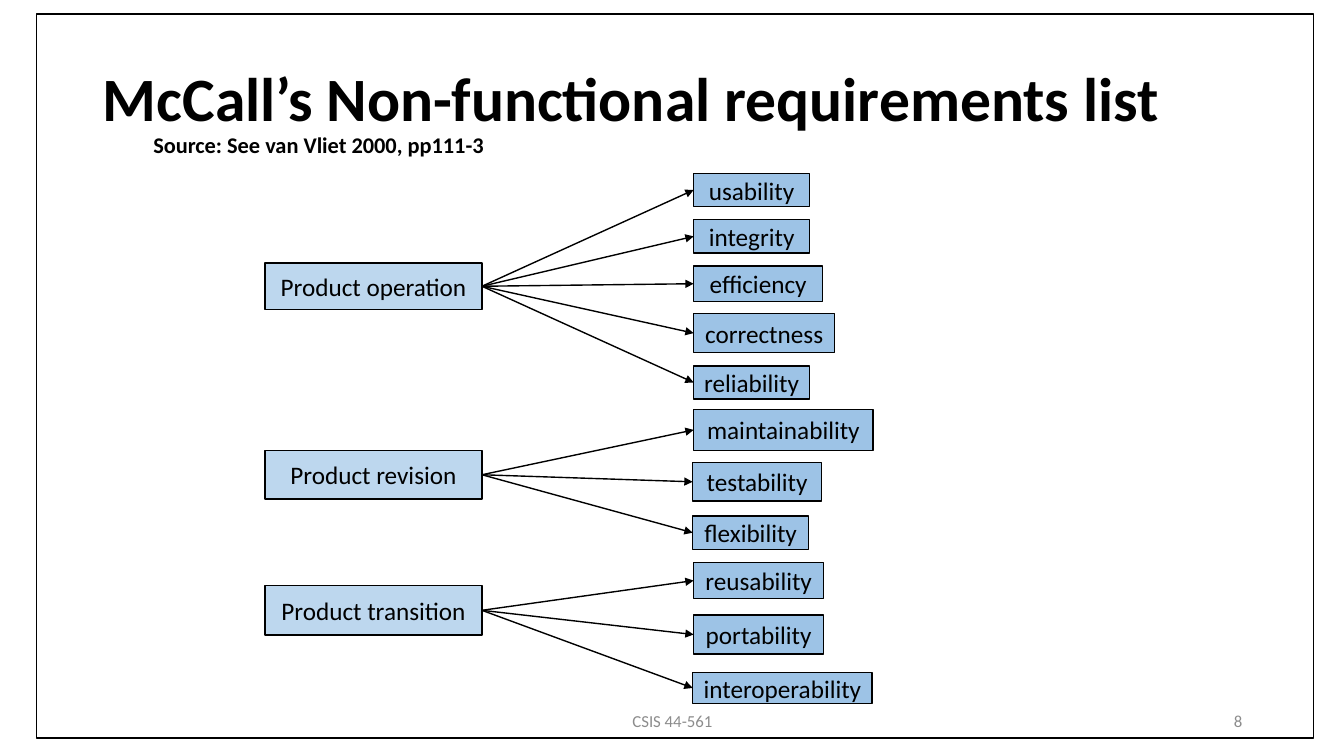
from dataclasses import dataclass

from lxml import etree
from pptx import Presentation
from pptx import util as u
from pptx.dml.color import RGBColor
from pptx.enum import shapes, text
from pptx.oxml.ns import qn

BLACK = RGBColor(0x00, 0x00, 0x00)
GRAY = RGBColor(0x8C, 0x8C, 0x8C)
PALE_BLUE = RGBColor(0xBD, 0xD7, 0xEE)
MID_BLUE = RGBColor(0x9D, 0xC3, 0xE6)
FONT = "Calibri"
GROUP_LEFT, GROUP_WIDTH = 2.63, 2.15
RIGHT_SIDE, LEFT_SIDE = 3, 1


@dataclass
class Box:
    label: str
    left: float
    top: float
    width: float
    height: float


@dataclass
class Group:
    label: str
    top: float
    height: float
    qualities: list[Box]


GROUPS = [
    Group("Product operation", 2.61, 0.46, [
        Box("usability", 6.88, 1.72, 1.15, 0.33),
        Box("integrity", 6.88, 2.18, 1.15, 0.33),
        Box("efficiency", 6.88, 2.64, 1.28, 0.35),
        Box("correctness", 6.88, 3.11, 1.40, 0.39),
        Box("reliability", 6.88, 3.63, 1.15, 0.33),
    ]),
    Group("Product revision", 4.47, 0.48, [
        Box("maintainability", 6.88, 4.06, 1.78, 0.41),
        Box("testability", 6.87, 4.59, 1.28, 0.38),
        Box("flexibility", 6.87, 5.12, 1.15, 0.33),
    ]),
    Group("Product transition", 5.81, 0.49, [
        Box("reusability", 6.88, 5.58, 1.29, 0.36),
        Box("portability", 6.88, 6.10, 1.29, 0.39),
        Box("interoperability", 6.87, 6.67, 1.78, 0.31),
    ]),
]


def add_run(paragraph, content: str, size: float, color: RGBColor = BLACK, bold: bool = False) -> None:
    run = paragraph.add_run()
    run.text = content
    run.font.name = FONT
    run.font.size = u.Pt(size)
    run.font.bold = bold
    run.font.color.rgb = color


def add_rectangle(slide, box: Box, fill: RGBColor | None):
    shape = slide.shapes.add_shape(
        shapes.MSO_SHAPE.RECTANGLE,
        u.Inches(box.left), u.Inches(box.top), u.Inches(box.width), u.Inches(box.height))
    shape.shadow.inherit = False
    shape.line.color.rgb = BLACK
    shape.line.width = u.Pt(1)
    if fill is None:
        shape.fill.background()
    else:
        shape.fill.solid()
        shape.fill.fore_color.rgb = fill
    if box.label:
        frame = shape.text_frame
        frame.word_wrap = False
        frame.vertical_anchor = text.MSO_ANCHOR.MIDDLE
        frame.paragraphs[0].alignment = text.PP_ALIGN.CENTER
        add_run(frame.paragraphs[0], box.label, 18)
    return shape


def add_arrow(slide, source, target) -> None:
    arrow = slide.shapes.add_connector(shapes.MSO_CONNECTOR.STRAIGHT, 0, 0, 0, 0)
    arrow.begin_connect(source, RIGHT_SIDE)
    arrow.end_connect(target, LEFT_SIDE)
    arrow.line.color.rgb = BLACK
    arrow.line.width = u.Pt(1)
    properties = arrow._element.spPr
    etree.SubElement(properties.find(qn("a:ln")), qn("a:tailEnd"), type="triangle")
    etree.SubElement(properties, qn("a:effectLst"))


def add_footer(slide, box: Box, alignment: text.PP_ALIGN) -> None:
    footer = slide.shapes.add_textbox(
        u.Inches(box.left), u.Inches(box.top), u.Inches(box.width), u.Inches(box.height))
    frame = footer.text_frame
    frame.word_wrap = True
    frame.vertical_anchor = text.MSO_ANCHOR.MIDDLE
    frame.paragraphs[0].alignment = alignment
    add_run(frame.paragraphs[0], box.label, 12, GRAY)


def add_title(slide) -> None:
    title = slide.shapes.title
    title.left, title.top = u.Inches(0.92), u.Inches(0.4)
    title.width, title.height = u.Inches(11.5), u.Inches(1.45)
    frame = title.text_frame
    frame.word_wrap = True
    frame.auto_size = text.MSO_AUTO_SIZE.NONE
    frame.vertical_anchor = text.MSO_ANCHOR.MIDDLE
    paragraph = frame.paragraphs[0]
    paragraph.alignment = text.PP_ALIGN.LEFT
    paragraph.line_spacing = 0.9
    add_run(paragraph, "McCall’s Non-functional requirements list", 44, bold=True)
    paragraph.add_line_break()
    add_run(paragraph, "\tSource: See van Vliet 2000, pp111-3", 16, bold=True)


def main() -> None:
    presentation = Presentation()
    presentation.slide_width = u.Inches(13.33)
    presentation.slide_height = u.Inches(7.5)
    slide = presentation.slides.add_slide(presentation.slide_layouts.get_by_name("Title Only"))

    # Page frame, title and footers
    add_rectangle(slide, Box("", 0.36, 0.14, 12.67, 7.18), None)
    add_title(slide)
    add_footer(slide, Box("CSIS 44-561", 4.42, 6.95, 4.5, 0.4), text.PP_ALIGN.CENTER)
    add_footer(slide, Box("8", 9.42, 6.95, 3, 0.4), text.PP_ALIGN.RIGHT)

    # Each product group points to its qualities
    for group in GROUPS:
        group_box = Box(group.label, GROUP_LEFT, group.top, GROUP_WIDTH, group.height)
        source = add_rectangle(slide, group_box, PALE_BLUE)
        for quality in group.qualities:
            add_arrow(slide, source, add_rectangle(slide, quality, MID_BLUE))

    presentation.save("out.pptx")


if __name__ == "__main__":
    main()
